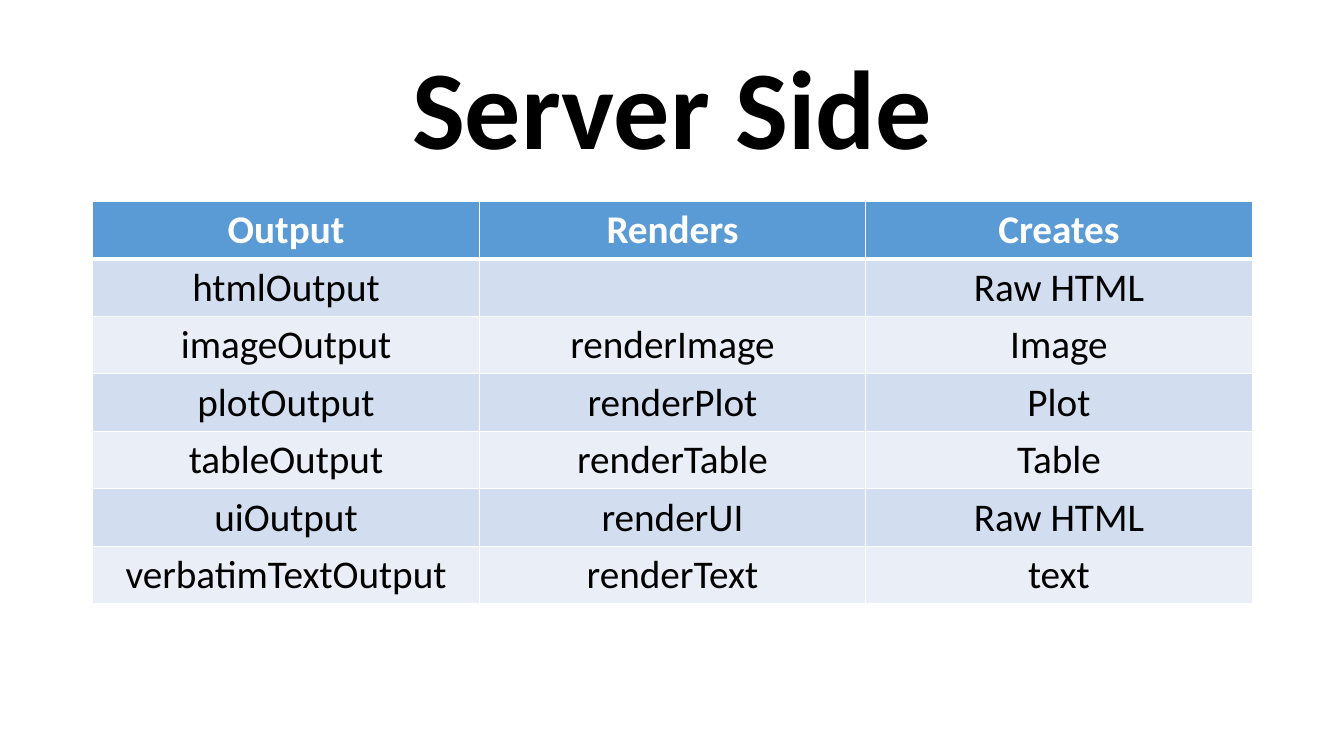
import pptx
import pptx.util
import pptx.dml.color
import pptx.enum.text
import pptx.oxml
import pptx.oxml.ns

Inches = pptx.util.Inches
COLORS = {
    "ink": "000000",
    "white": "FFFFFF",
    "head": "5B9BD5",
    "odd": "D2DEEF",
    "even": "EAEFF7",
}
ROWS = [
    ("Output", "Renders", "Creates"),
    ("htmlOutput", "", "Raw HTML"),
    ("imageOutput", "renderImage", "Image"),
    ("plotOutput", "renderPlot", "Plot"),
    ("tableOutput", "renderTable", "Table"),
    ("uiOutput", "renderUI", "Raw HTML"),
    ("verbatimTextOutput", "renderText", "text"),
]


def style(para, size, color, bold):
    para.alignment = pptx.enum.text.PP_ALIGN.CENTER
    for run in para.runs:
        run.font.name = "Calibri"
        run.font.size = pptx.util.Pt(size)
        run.font.bold = bold
        run.font.color.rgb = pptx.dml.color.RGBColor.from_string(COLORS[color])


def border(cell, widths):
    """Draw white cell edges, with widths in points for left, right, top, bottom."""
    props = cell._tc.get_or_add_tcPr()
    for pos, (side, width) in enumerate(zip("LRTB", widths)):
        line = pptx.oxml.parse_xml(
            f'<a:ln{side} {pptx.oxml.ns.nsdecls("a")} w="{pptx.util.Pt(width)}">'
            f'<a:solidFill><a:srgbClr val="{COLORS["white"]}"/></a:solidFill>'
            f'</a:ln{side}>'
        )
        props.insert(pos, line)


deck = pptx.Presentation()
deck.slide_width = Inches(13.33)
deck.slide_height = Inches(7.5)
slide = deck.slides.add_slide(deck.slide_layouts[6])

# Title
title = slide.shapes.add_textbox(Inches(0.92), Inches(0.4), Inches(11.5), Inches(1.45))
frame = title.text_frame
frame.word_wrap = True
frame.vertical_anchor = pptx.enum.text.MSO_ANCHOR.MIDDLE
frame.text = "Server Side"
frame.paragraphs[0].line_spacing = 0.9
style(frame.paragraphs[0], 80, "ink", True)

# Table of output functions
height = Inches(0.57)
table = slide.shapes.add_table(
    len(ROWS), 3, Inches(0.92), Inches(2), Inches(11.5), height * len(ROWS)
).table

for r, words in enumerate(ROWS):
    table.rows[r].height = height
    head = r == 0
    fill = "head" if head else "odd" if r % 2 else "even"
    for c, word in enumerate(words):
        cell = table.cell(r, c)
        cell.text_frame.text = word
        style(cell.text_frame.paragraphs[0], 28, "white" if head else "ink", head)
        cell.fill.solid()
        cell.fill.fore_color.rgb = pptx.dml.color.RGBColor.from_string(COLORS[fill])
        border(cell, (1, 1, 3 if r == 1 else 1, 3 if head else 1))

deck.save("out.pptx")
